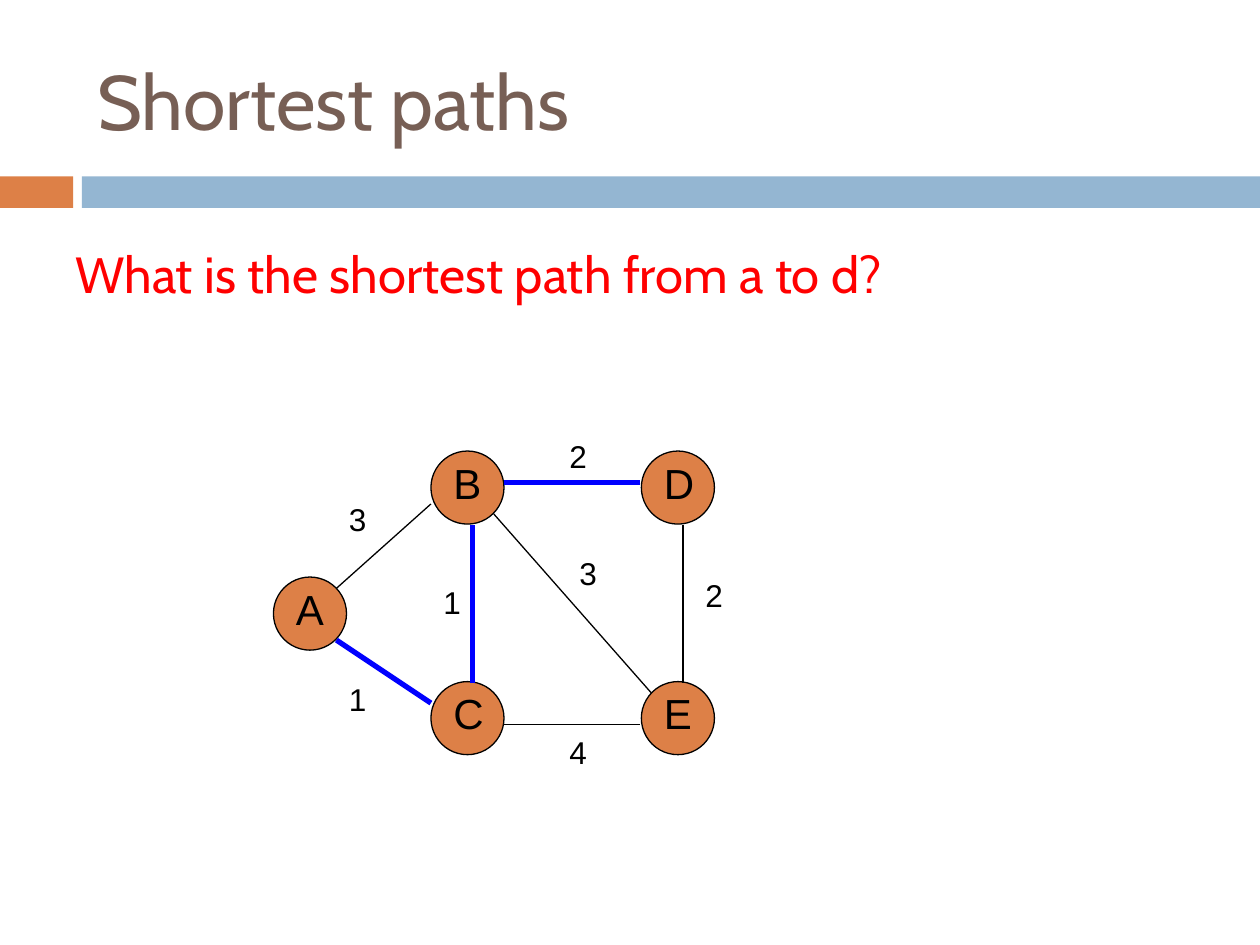
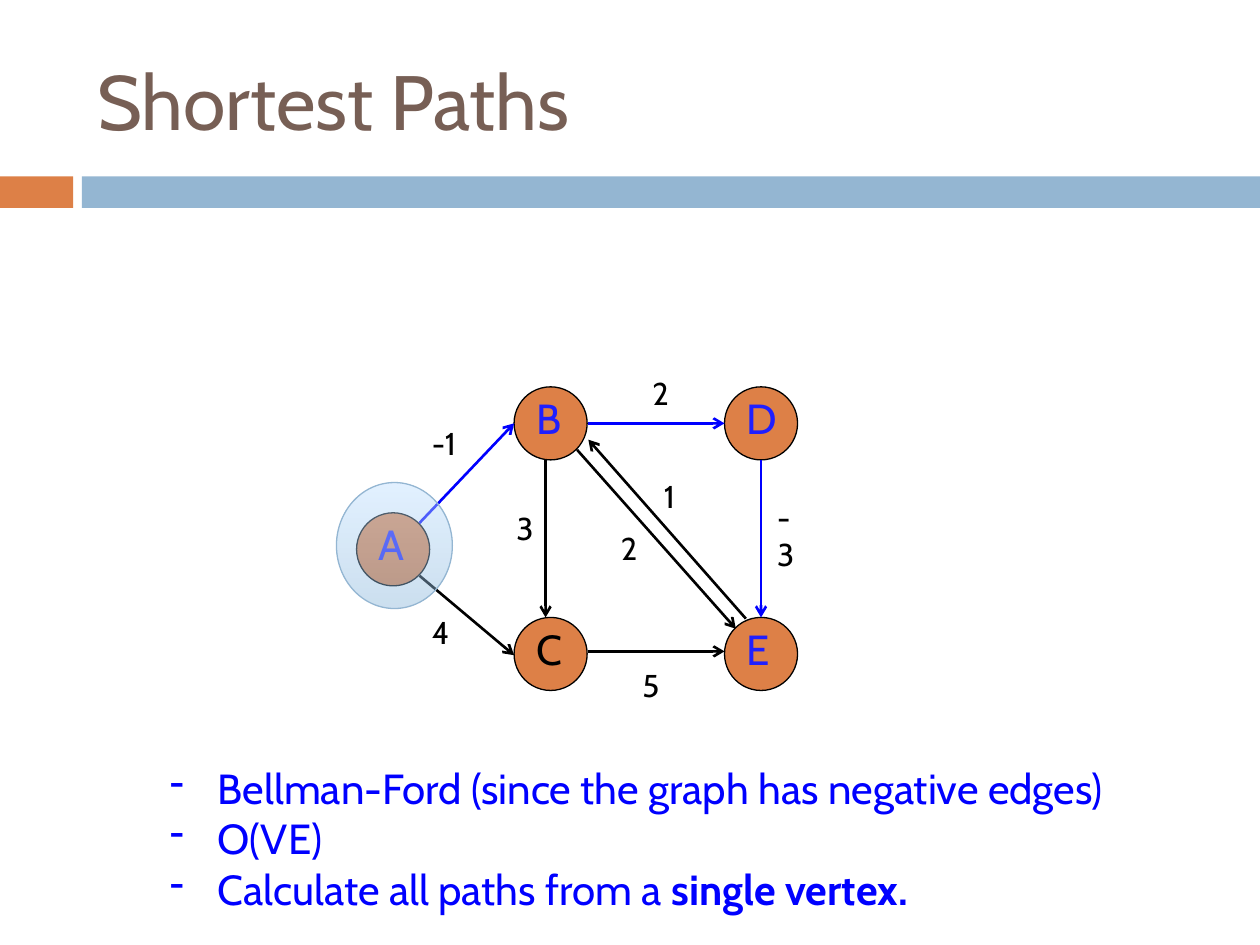
from lxml.etree import SubElement
from pptx import Presentation
from pptx.dml.color import RGBColor
from pptx.enum.shapes import MSO_CONNECTOR as Connector, MSO_SHAPE as Shape
from pptx.enum.text import MSO_ANCHOR as Anchor, PP_ALIGN as Align
from pptx.oxml.ns import qn
from pptx.util import Inches, Pt

COLORS = {name: RGBColor.from_string(value) for name, value in {
    "orange": "DD8047", "band": "94B6D2", "title": "775F55",
    "red": "FF0000", "blue": "0000FF", "reached": "1F1FFF", "black": "000000",
    "halo_low": "8BB7DB", "halo_high": "BDDFFF"}.items()}

NODE_SIZE = 0.58
# Node positions relative to node A
NODES = {"A": (0, 0), "B": (1.25, -1), "C": (1.25, 0.83),
         "E": (2.92, 0.83), "D": (2.92, -1)}

# Edges: x1, y1, x2, y2, on the shortest path
# Weights: text, left, top
GRAPHS = [
    {"title": "Shortest paths", "font": "Arial", "origin": (2.17, 4.58),
     "reached": "", "widths": (0.75, 3), "arrows": False,
     "edges": [(2.67, 4.67, 3.42, 4, False), (2.67, 5.08, 3.42, 5.58, True),
               (4, 5.75, 5.08, 5.75, False), (5.42, 5.42, 5.42, 4.17, False),
               (3.75, 5.42, 3.75, 4.17, True), (4, 3.83, 5.08, 3.83, True),
               (3.92, 4.08, 5.17, 5.5, False)],
     "weights": [("1", 2.67, 5.35), ("1", 3.42, 4.58), ("3", 2.67, 3.92),
                 ("2", 4.42, 3.42), ("2", 5.5, 4.52), ("3", 4.5, 4.35),
                 ("4", 4.42, 5.77)]},
    {"title": "Shortest Paths", "font": "Cabin", "origin": (2.83, 4.07),
     "reached": "ABDE", "widths": (1.5, 1.5), "arrows": True,
     "edges": [(3.33, 4.15, 4.08, 3.36, True), (3.33, 4.57, 4.08, 5.2, False),
               (4.67, 3.36, 5.75, 3.36, True), (6.04, 3.65, 6.04, 4.9, True),
               (5.92, 4.91, 4.67, 3.49, False), (4.58, 3.57, 5.84, 4.99, False),
               (4.33, 3.65, 4.33, 4.9, False), (4.67, 5.17, 5.75, 5.17, False)],
     "weights": [("-1", 3.33, 3.32), ("2", 5.08, 2.92), ("-3", 6.07, 3.9),
                 ("5", 5, 5.24), ("4", 3.33, 4.82), ("3", 4, 3.99),
                 ("2", 4.83, 4.15), ("1", 5.17, 3.74)]},
]


def add_text(shapes, text, position, size, font, color):
    box = shapes.add_textbox(*map(Inches, position))
    box.text_frame.word_wrap = True
    box.text_frame.text = text
    for para in box.text_frame.paragraphs:
        for span in para.runs:
            span.font.size = Pt(size)
            span.font.name = font
            span.font.color.rgb = COLORS[color]
    return box


def add_filled(shapes, kind, position, color, outline=None):
    shape = shapes.add_shape(kind, *map(Inches, position))
    shape.shadow.inherit = False
    shape.fill.solid()
    shape.fill.fore_color.rgb = COLORS[color]
    if outline:
        shape.line.color.rgb = COLORS[outline]
        shape.line.width = Pt(0.75)
    else:
        shape.line.fill.background()
    return shape


deck = Presentation()
deck.slide_width, deck.slide_height = Inches(10), Inches(7.5)
pages = []

for graph in GRAPHS:
    page = deck.slides.add_slide(deck.slide_layouts[5])
    pages.append(page)

    # Bands and title
    add_filled(page.shapes, Shape.RECTANGLE, (0, 1.4, 0.58, 0.25), "orange")
    add_filled(page.shapes, Shape.RECTANGLE, (0.65, 1.4, 9.35, 0.25), "band")
    title = page.shapes.title
    title.left, title.top, title.width, title.height = map(
        Inches, (0.67, 0.25, 8.92, 1.08))
    title.text_frame.text = graph["title"]
    title.text_frame.vertical_anchor = Anchor.MIDDLE
    para = title.text_frame.paragraphs[0]
    para.alignment = Align.LEFT
    para.font.size = Pt(44)
    para.runs[0].font.size = Pt(44)
    para.runs[0].font.name = "Cabin"
    para.runs[0].font.color.rgb = COLORS["title"]

    # Nodes with their letters
    for letter, (dx, dy) in NODES.items():
        left, top = graph["origin"][0] + dx, graph["origin"][1] + dy
        node = page.shapes.add_group_shape()
        add_filled(node.shapes, Shape.OVAL, (left, top, NODE_SIZE, NODE_SIZE),
                   "orange", "black")
        color = "reached" if letter in graph["reached"] else "black"
        add_text(node.shapes, letter, (left + 0.08, top, 0.5, 0.5), 24,
                 graph["font"], color)

    # Edges
    for x1, y1, x2, y2, on_path in graph["edges"]:
        edge = page.shapes.add_connector(
            Connector.STRAIGHT, *map(Inches, (x1, y1, x2, y2)))
        edge.line.color.rgb = COLORS["blue" if on_path else "black"]
        edge.line.width = Pt(graph["widths"][on_path])
        if graph["arrows"]:
            SubElement(edge.line._get_or_add_ln(), qn("a:tailEnd"), type="arrow")
        SubElement(edge._element.spPr, qn("a:effectLst"))

    # Edge weights; only "-3" breaks after its sign
    for weight, left, top in graph["weights"]:
        label = add_text(page.shapes, weight, (left, top, 0.4, 0.4), 18,
                         graph["font"], "black")
        label.text_frame.word_wrap = weight == "-3"

# Question
add_text(pages[0].shapes, "What is the shortest path from a to d?",
         (0.5, 1.88, 9, 0.87), 29, "Cabin", "red")

# Algorithm notes
notes = add_text(pages[1].shapes,
                 "Bellman-Ford (since the graph has negative edges)\n"
                 "O(VE)\nCalculate all paths from a ",
                 (1.25, 6, 8.46, 1.31), 24, "Cabin", "blue")
for para in notes.text_frame.paragraphs:
    properties = para._p.get_or_add_pPr()
    properties.set("marL", str(Inches(0.38)))
    properties.set("indent", str(-Inches(0.38)))
    SubElement(properties, qn("a:buChar"), char="-")
span = notes.text_frame.paragraphs[-1].add_run()
span.text = "single vertex."
span.font.size, span.font.name, span.font.bold = Pt(24), "Cabin", True
span.font.color.rgb = COLORS["blue"]

# Translucent halo around the start node
halo = add_filled(pages[1].shapes, Shape.OVAL, (2.67, 3.83, 0.92, 1),
                  "band", "band")
halo.fill.gradient()
halo.fill.gradient_angle = 90
for stop, color in zip(halo.fill.gradient_stops, ("halo_low", "halo_high")):
    stop.color.rgb = COLORS[color]
for color_element in halo._element.spPr.iterfind(
        f"{qn('a:gradFill')}//{qn('a:srgbClr')}"):
    SubElement(color_element, qn("a:alpha"), val="44000")

deck.save("out.pptx")
